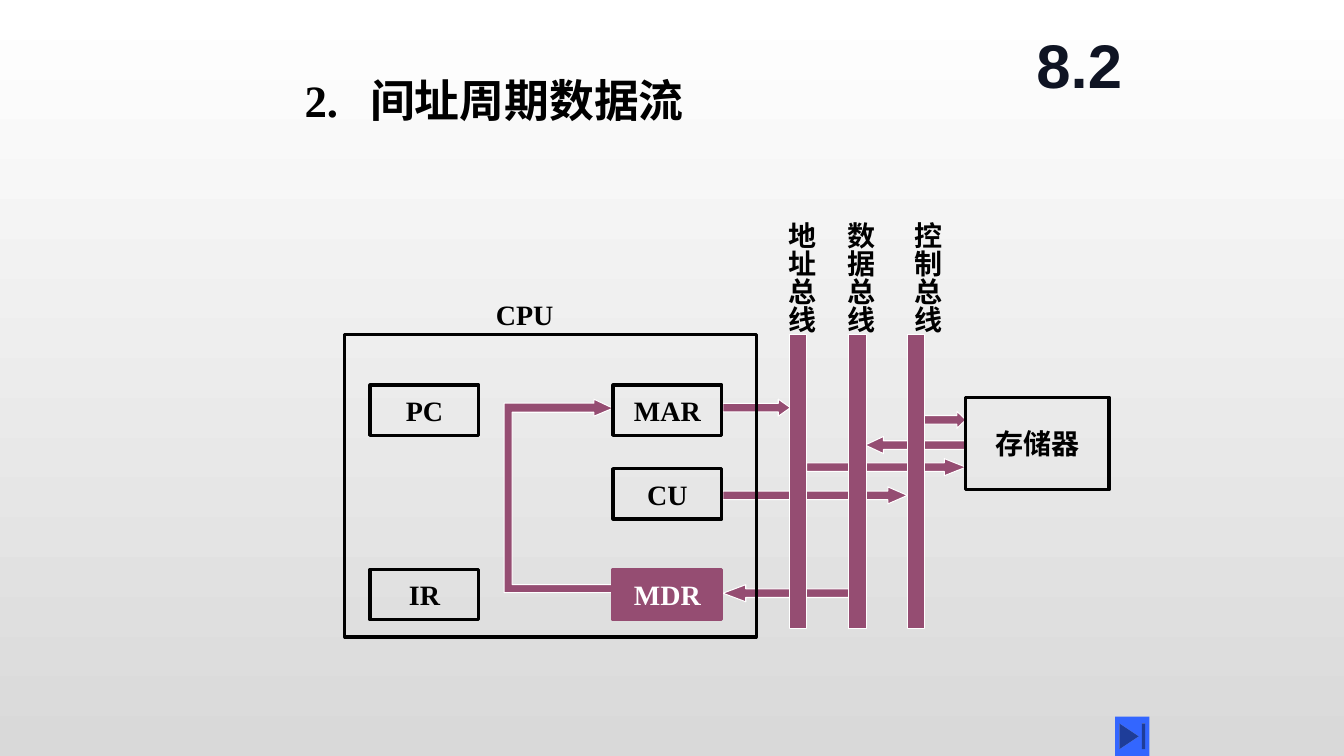
from dataclasses import dataclass

from lxml.etree import SubElement
from pptx import Presentation
from pptx.dml.color import RGBColor
from pptx.enum.shapes import MSO_SHAPE as Preset
from pptx.enum.text import MSO_ANCHOR as Anchor, MSO_AUTO_SIZE as AutoSize, PP_ALIGN as Align
from pptx.oxml.ns import qn
from pptx.shapes.autoshape import Shape
from pptx.slide import Slide
from pptx.util import Inches, Pt

COLORS = {
    "ink": "000000",
    "section": "0F1423",
    "plum": "954D72",
    "white": "FFFFFF",
    "page_end": "D9D9D9",
    "button": "3366FF",
}
SERIF = "Times New Roman"
BUS_TOP, BUS_HEIGHT, BUS_WIDTH = 3.32, 2.92, 0.17
UNIT_WIDTH, UNIT_HEIGHT = 1.08, 0.5
ARROW_HEIGHT = 0.17


@dataclass(frozen=True)
class Unit:
    label: str
    left: float
    top: float
    width: float = UNIT_WIDTH
    height: float = UNIT_HEIGHT
    filled: bool = False


@dataclass(frozen=True)
class Bus:
    label: str
    left: float
    label_left: float


@dataclass(frozen=True)
class Flow:
    left: float
    top: float
    width: float
    head: float  # head length relative to the arrow height
    leftward: bool = False


UNITS = [
    Unit("", 3.42, 3.32, 4.08, 3),
    Unit("PC", 3.67, 3.82),
    Unit("IR", 3.67, 5.65),
    Unit("MAR", 6.08, 3.82),
    Unit("CU", 6.08, 4.65),
    Unit("MDR", 6.08, 5.65, filled=True),
    Unit("存储器", 9.58, 3.94, 1.42, 0.92),
]
BUSES = [
    Bus("地址总线", 7.83, 7.63),
    Bus("数据总线", 8.42, 8.21),
    Bus("控制总线", 9, 8.88),
]
FLOWS = [
    Flow(8.58, 4.33, 1, 1.07, leftward=True),
    Flow(7.17, 4.83, 1.83, 1.14),
    Flow(7.17, 3.96, 0.67, 0.71),
    Flow(8, 4.55, 1.58, 1.26),
    Flow(7.17, 5.8, 1.25, 1.33, leftward=True),
    Flow(9.08, 4.08, 0.5, 0.53),
]
MDR_TO_MAR = [
    (6.08, 5.8), (6.08, 5.88), (5, 5.88), (5, 4), (5.89, 4), (5.89, 3.96),
    (6.08, 4.05), (5.89, 4.13), (5.89, 4.09), (5.08, 4.09), (5.08, 5.8),
]


def rgb(name: str) -> RGBColor:
    return RGBColor.from_string(COLORS[name])


def paint(shape: Shape, fill: str | None, line: str | None, points: float = 0.75) -> None:
    shape.shadow.inherit = False
    if fill:
        shape.fill.solid()
        shape.fill.fore_color.rgb = rgb(fill)
    else:
        shape.fill.background()
    if line:
        shape.line.color.rgb = rgb(line)
        shape.line.width = Pt(points)
    else:
        shape.line.fill.background()


def add_preset(slide: Slide, preset: Preset, left: float, top: float,
               width: float, height: float) -> Shape:
    return slide.shapes.add_shape(
        preset, Inches(left), Inches(top), Inches(width), Inches(height))


def write(shape: Shape, text: str, size: float = 20, font: str = SERIF, color: str = "ink",
          align: Align = Align.CENTER, anchor: Anchor = Anchor.MIDDLE,
          wrap: bool = False) -> None:
    frame = shape.text_frame
    frame.word_wrap = wrap
    frame.auto_size = AutoSize.NONE
    frame.vertical_anchor = anchor
    paragraph = frame.paragraphs[0]
    paragraph.text = text
    paragraph.alignment = align
    paragraph.font.name = font
    paragraph.font.size = Pt(size)
    paragraph.font.bold = True
    paragraph.font.color.rgb = rgb(color)


def add_label(slide: Slide, text: str, left: float, top: float,
              width: float, height: float, **style) -> Shape:
    label = slide.shapes.add_textbox(
        Inches(left), Inches(top), Inches(width), Inches(height))
    write(label, text, **style)
    return label


def add_title(slide: Slide) -> None:
    title = slide.shapes.title
    title.left, title.top = Inches(2.92), Inches(0.67)
    title.width, title.height = Inches(6.25), Inches(0.64)
    properties = title.text_frame.paragraphs[0]._p.get_or_add_pPr()
    tabs = SubElement(properties, qn("a:tabLst"))
    SubElement(tabs, qn("a:tab"), pos=str(Inches(0.65)), algn="l")
    write(title, "2.\t间址周期数据流", size=32, align=Align.LEFT, anchor=Anchor.TOP, wrap=True)


def add_flow(slide: Slide, flow: Flow) -> None:
    arrow = add_preset(slide, Preset.RIGHT_ARROW, flow.left, flow.top, flow.width, ARROW_HEIGHT)
    arrow.adjustments[0] = 0.5
    arrow.adjustments[1] = flow.head
    arrow.rotation = 180 if flow.leftward else 0
    paint(arrow, "plum", "white")


def add_bent_flow(slide: Slide) -> None:
    corners = [(Inches(x), Inches(y)) for x, y in MDR_TO_MAR]
    builder = slide.shapes.build_freeform(*corners[0])
    builder.add_line_segments(corners[1:], close=True)
    paint(builder.convert_to_shape(), "plum", "white")


def add_bus(slide: Slide, bus: Bus) -> None:
    bar = add_preset(slide, Preset.RECTANGLE, bus.left, BUS_TOP, BUS_WIDTH, BUS_HEIGHT)
    paint(bar, "plum", "white")
    label = add_label(slide, bus.label, bus.label_left, 2.1, 0.54, 1.21,
                      align=Align.LEFT, anchor=Anchor.TOP)
    label.text_frame._txBody.bodyPr.set("vert", "eaVert")


def add_unit(slide: Slide, unit: Unit) -> None:
    box = add_preset(slide, Preset.RECTANGLE, unit.left, unit.top, unit.width, unit.height)
    paint(box, "plum" if unit.filled else None, "plum" if unit.filled else "ink", 2.25)
    if unit.label:
        write(box, unit.label, color="white" if unit.filled else "ink")


def set_background(slide: Slide) -> None:
    fill = slide.background.fill
    fill.gradient()
    fill.gradient_angle = 270
    for stop, color in zip(fill.gradient_stops, ("white", "page_end")):
        stop.color.rgb = rgb(color)


def main() -> None:
    deck = Presentation()
    deck.slide_width, deck.slide_height = Inches(13.33), Inches(7.5)
    slide = deck.slides.add_slide(deck.slide_layouts[5])
    set_background(slide)
    add_title(slide)
    for flow in FLOWS:
        add_flow(slide, flow)
    add_bent_flow(slide)
    for bus in BUSES:
        add_bus(slide, bus)
    for unit in UNITS:
        add_unit(slide, unit)
    add_label(slide, "CPU", 4.82, 2.9, 0.77, 0.44, align=Align.LEFT, anchor=Anchor.TOP)
    add_label(slide, "8.2", 10.08, 0.17, 1.25, 0.92, size=44, font="Arial",
              color="section", wrap=True)
    end_button = add_preset(slide, Preset.ACTION_BUTTON_END, 11.06, 7.11, 0.34, 0.39)
    paint(end_button, "button", None)
    deck.save("out.pptx")


if __name__ == "__main__":
    main()
